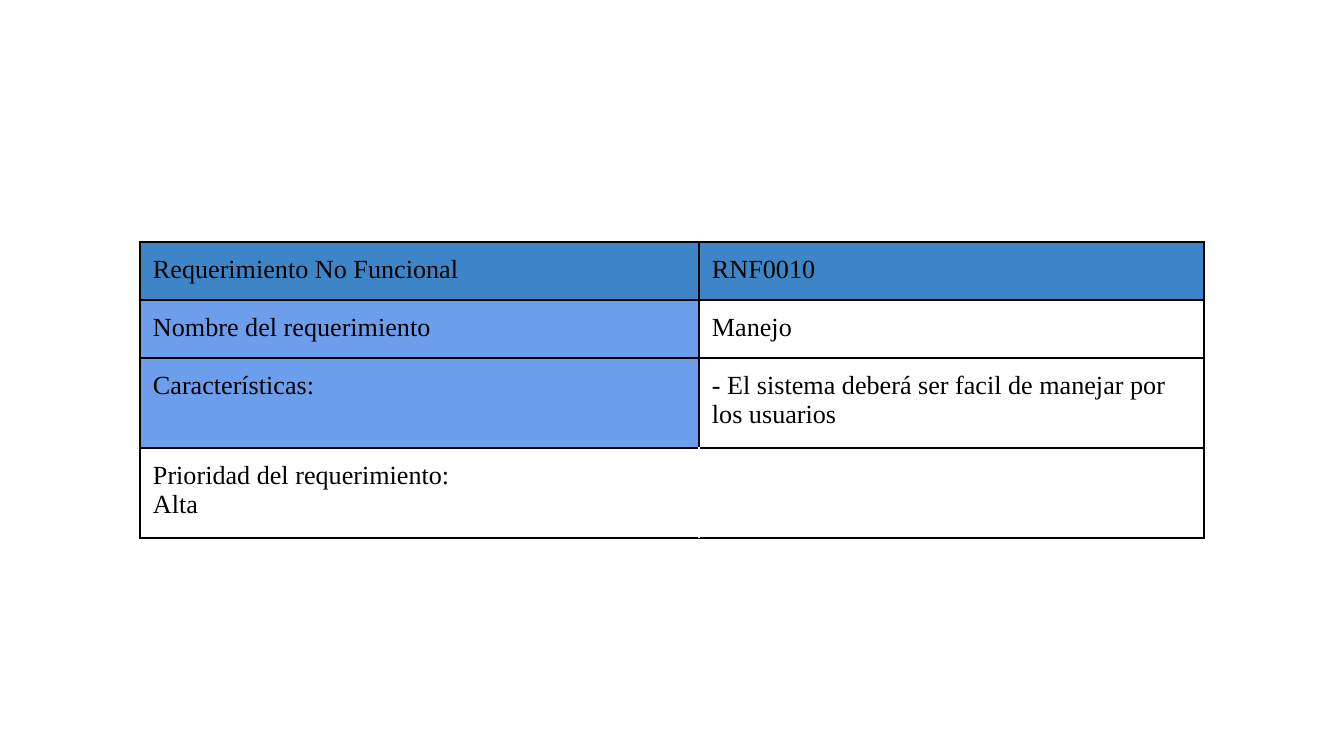
from pptx import Presentation
from pptx.dml.color import RGBColor
from pptx.oxml.ns import qn
from pptx.util import Pt
from lxml.etree import SubElement

EMU_PER_PX = 914400 / 134.4
FONT, FONT_SIZE = "Times New Roman", 14
BLACK, WHITE = "000000", "FFFFFF"
HEADER_BLUE, LABEL_BLUE = "3D85C6", "6D9EEB"
INSET = 13

# Each cell: paragraphs, fill
REQUIREMENT = [
    [(["Requerimiento No Funcional"], HEADER_BLUE), (["RNF0010"], HEADER_BLUE)],
    [(["Nombre del requerimiento"], LABEL_BLUE), (["Manejo"], WHITE)],
    [(["Características:"], LABEL_BLUE),
     (["- El sistema deberá ser facil de manejar por los usuarios"], WHITE)],
    [(["Prioridad del requerimiento:", "Alta"], WHITE), ([], WHITE)],
]


def px(length):
    return round(length * EMU_PER_PX)


def color(hex_value):
    return RGBColor.from_string(hex_value)


def set_borders(cell, hidden_side=None):
    properties = cell._tc.get_or_add_tcPr()
    for side in "LRTB":
        line = SubElement(properties, qn(f"a:ln{side}"), w=str(Pt(0.75)))
        fill = SubElement(line, qn("a:solidFill"))
        SubElement(fill, qn("a:srgbClr"), val=WHITE if side == hidden_side else BLACK)


def write_cell(cell, paragraphs, fill):
    cell.margin_left = cell.margin_right = px(INSET)
    cell.margin_top = cell.margin_bottom = px(INSET)
    cell.fill.solid()
    cell.fill.fore_color.rgb = color(fill)
    for i, text in enumerate(paragraphs):
        frame = cell.text_frame
        paragraph = frame.paragraphs[0] if i == 0 else frame.add_paragraph()
        run = paragraph.add_run()
        run.text = text
        run.font.name = FONT
        run.font.size = Pt(FONT_SIZE)
        run.font.color.rgb = color(BLACK)


def add_requirement_table(slide, left, top, column_widths, row_heights):
    box = [px(n) for n in (left, top, sum(column_widths), sum(row_heights))]
    table = slide.shapes.add_table(len(row_heights), len(column_widths), *box).table
    table.first_row = table.horz_banding = False
    for column, width in zip(table.columns, column_widths):
        column.width = px(width)
    for row, height in zip(table.rows, row_heights):
        row.height = px(height)

    last_row = len(REQUIREMENT) - 1
    for r, row in enumerate(REQUIREMENT):
        for c, (paragraphs, fill) in enumerate(row):
            cell = table.cell(r, c)
            # The priority row has a white divider between its two cells
            set_borders(cell, "RL"[c] if r == last_row else None)
            write_cell(cell, paragraphs, fill)


def main():
    deck = Presentation()
    deck.slide_width, deck.slide_height = px(1344), px(756)
    slide = deck.slides.add_slide(deck.slide_layouts[6])
    add_requirement_table(slide, 140, 242, [559, 505], [58, 58, 90, 90])
    deck.save("out.pptx")


if __name__ == "__main__":
    main()
